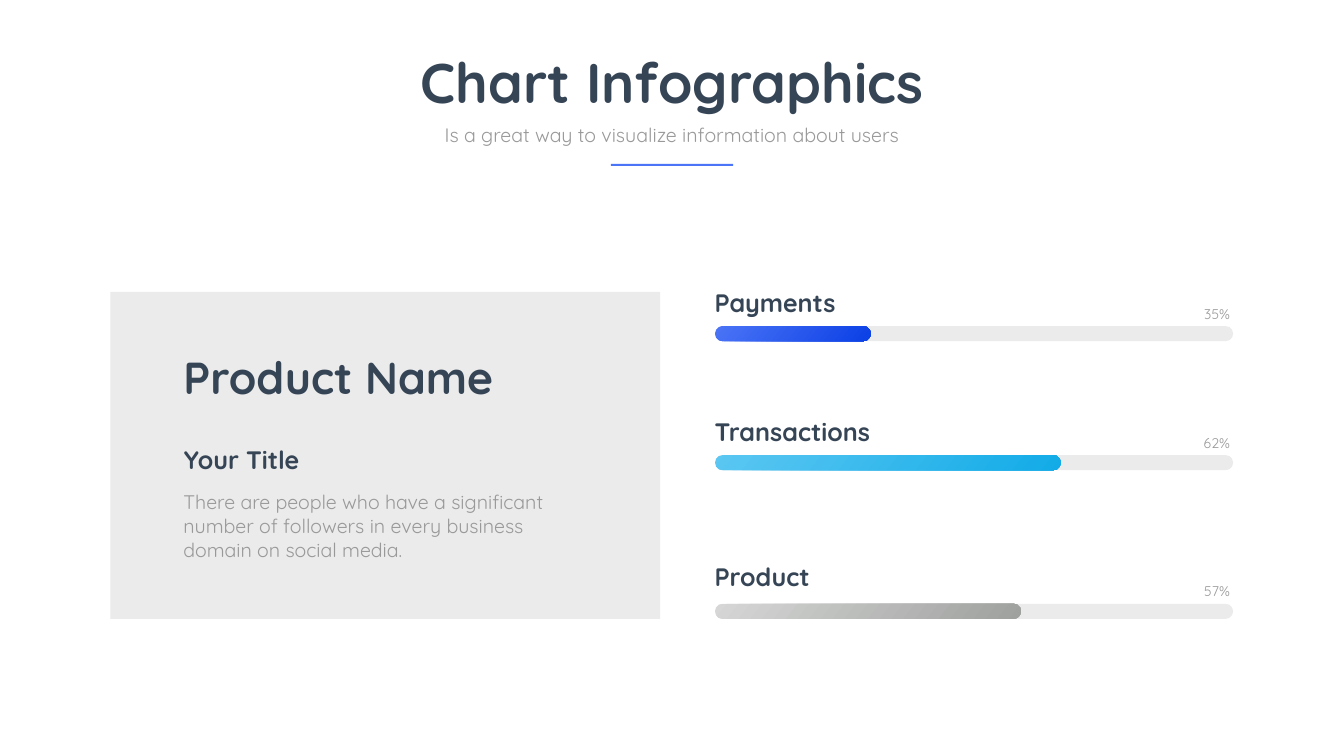
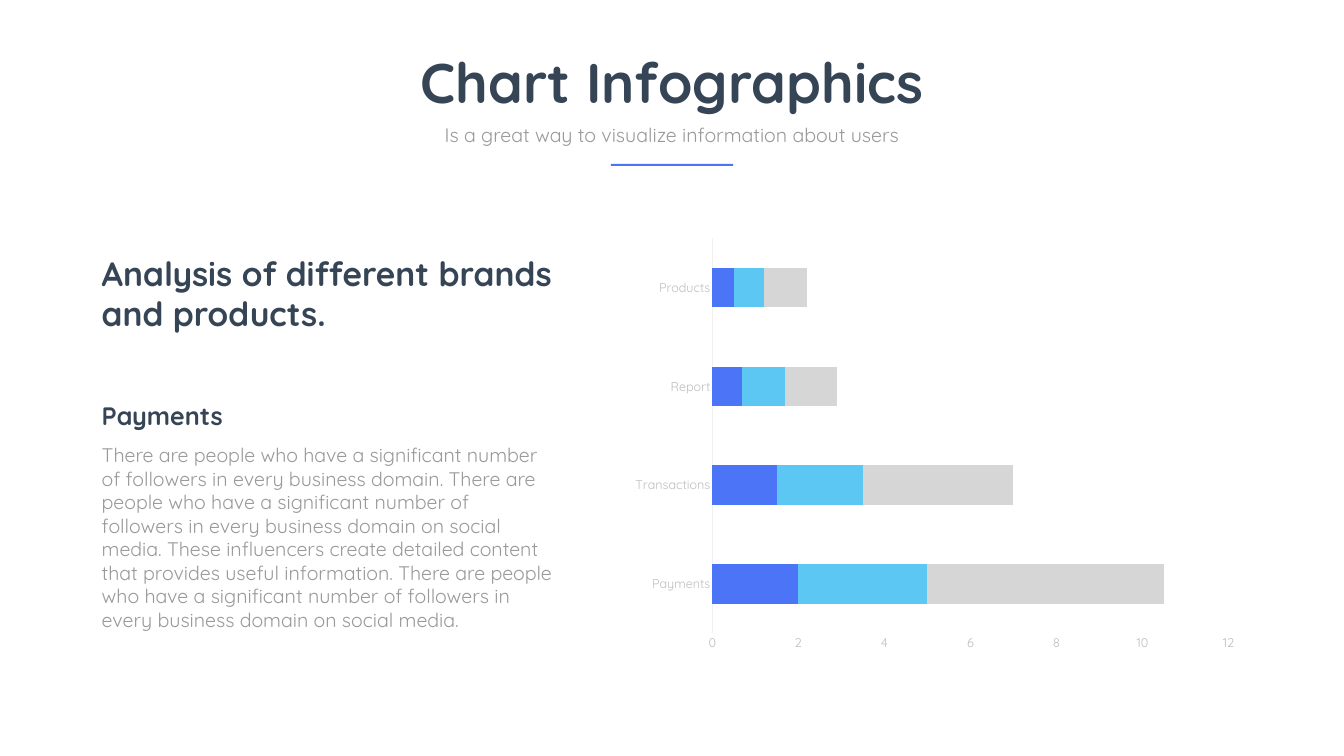
import pptx
import pptx.chart.data
import pptx.dml.color
import pptx.enum.chart
import pptx.enum.shapes
import pptx.enum.text
import pptx.util

Inches = pptx.util.Inches
RGBColor = pptx.dml.color.RGBColor
Align = pptx.enum.text.PP_ALIGN
Anchor = pptx.enum.text.MSO_ANCHOR
Preset = pptx.enum.shapes.MSO_SHAPE

FONT = "Quicksand"
NAVY = RGBColor(0x36, 0x45, 0x56)
GRAY = RGBColor(0x99, 0x99, 0x99)
PANEL = RGBColor(0xEB, 0xEB, 0xEB)
BLUE = RGBColor(0x4B, 0x74, 0xF6)
DEEP_BLUE = RGBColor(0x0B, 0x40, 0xE5)
SKY = RGBColor(0x5B, 0xC7, 0xF2)
DEEP_SKY = RGBColor(0x12, 0xAB, 0xE7)
SILVER = RGBColor(0xD5, 0xD6, 0xD5)
DEEP_SILVER = RGBColor(0x9F, 0xA1, 0x9F)
AXIS_TEXT = RGBColor(0xBD, 0xBD, 0xBD)
AXIS_LINE = RGBColor(0xF0, 0xF0, 0xF0)

DEFAULT_INSETS = (0.1, 0.05)
SMALL_INSETS = (0.06, 0.06)
HEADING = {"size": 36, "bold": True, "color": NAVY}
BODY = {"size": 28, "bold": False, "color": GRAY}
PERCENT = {"size": 20, "bold": False, "color": GRAY}


def set_attributes(target, values):
    """Set every named attribute on the target."""
    for name, value in values.items():
        setattr(target, name, value)


def set_font(font, size, color, bold=False):
    """Apply the deck's typeface in one size and colour."""
    set_attributes(font, {"name": FONT, "size": pptx.util.Pt(size), "bold": bold})
    font.color.rgb = color


def add_text(slide, box, text, style, align=Align.LEFT, anchor=Anchor.TOP,
             insets=DEFAULT_INSETS, spacing=None, grow=True):
    """Place one paragraph of text in a box of inches."""
    frame = slide.shapes.add_textbox(*map(Inches, box)).text_frame
    across, down = map(Inches, insets)
    fit = pptx.enum.text.MSO_AUTO_SIZE
    set_attributes(frame, {
        "word_wrap": True, "vertical_anchor": anchor,
        "auto_size": fit.SHAPE_TO_FIT_TEXT if grow else fit.NONE,
        "margin_left": across, "margin_right": across,
        "margin_top": down, "margin_bottom": down,
    })
    paragraph = frame.paragraphs[0]
    set_attributes(paragraph, {"alignment": align, "line_spacing": spacing})
    run = paragraph.add_run()
    run.text = text
    set_font(run.font, **style)


def add_block(slide, box, colors, preset=Preset.RECTANGLE):
    """Draw an outline-free shape, solid for one colour, shaded for two."""
    shape = slide.shapes.add_shape(preset, *map(Inches, box))
    shape.shadow.inherit = False
    shape.line.fill.background()
    if preset == Preset.ROUNDED_RECTANGLE:
        shape.adjustments[0] = 0.5
    if len(colors) == 1:
        shape.fill.solid()
        shape.fill.fore_color.rgb = colors[0]
    else:
        shape.fill.gradient()
        shape.fill.gradient_angle = 360 - 38
        for stop, color in zip(shape.fill.gradient_stops, colors):
            stop.color.rgb = color


def add_header(slide, left, top, width):
    """Add the centred title, subtitle and accent rule."""
    title = {"size": 80, "bold": True, "color": NAVY}
    add_text(slide, (left, top, width, 1.45), "Chart Infographics", title, Align.CENTER)
    add_text(slide, (left + 1.67, top + 1.48, 9.56, 0.57),
             "Is a great way to visualize information about users", BODY, Align.CENTER)
    add_block(slide, (left + (width - 2.43) / 2, top + 2.35, 2.43, 0.04), [BLUE])


def add_progress(slide, left, top, width, label, percent, filled, colors, spacing=None):
    """Add a labelled bar with its filled length and percentage."""
    for length, shades in ((width, [PANEL]), (filled, colors)):
        add_block(slide, (left, top + 0.83, length, 0.3), shades, Preset.ROUNDED_RECTANGLE)
    add_text(slide, (left - 0.07, top, 6.44, 0.7), label, HEADING,
             insets=SMALL_INSETS, spacing=spacing, grow=False)
    add_text(slide, (left + width - 1.23, top + 0.39, 1.23, 0.43), percent, PERCENT,
             Align.RIGHT, insets=SMALL_INSETS, spacing=0.9, grow=False)


def add_product_panel(slide, left, top, width, height):
    """Add the gray panel that presents the product."""
    add_block(slide, (left, top, width, height), [PANEL])
    add_text(slide, (left + 1.35, top + 3.89, 8.19, 1.51),
             "There are people who have a significant number of followers "
             "in every business domain on social media.", BODY)
    add_text(slide, (left + 1.39, top + 1.09, 6.91, 1.19), "Product Name",
             {"size": 64, "bold": True, "color": NAVY},
             anchor=Anchor.MIDDLE, insets=SMALL_INSETS)
    add_text(slide, (left + 1.36, top + 2.97, 6.3, 0.71), "Your Title", HEADING)


def add_analysis(slide, left, top, width):
    """Add the headline with the explanation below it."""
    add_text(slide, (left, top, width, 1.72), "Analysis of different brands and products.",
             {"size": 48, "bold": True, "color": NAVY})
    add_text(slide, (left, top + 2.94, 7.75, 0.71), "Payments", HEADING)
    add_text(slide, (left, top + 3.78, width, 4.34),
             "There are people who have a significant number of followers in every "
             "business domain. There are people who have a significant number of "
             "followers in every business domain on social media. These influencers "
             "create detailed content that provides useful information. There are "
             "people who have a significant number of followers in every business "
             "domain on social media.", BODY)


def add_stacked_chart(slide, left, top, width, height):
    """Add the stacked bar chart of the four categories."""
    data = pptx.chart.data.CategoryChartData()
    data.categories = ["Payments", "Transactions", "Report", "Products"]
    data.add_series("Series 1", (2, 1.5, 0.7, 0.5))
    data.add_series("Series 2", (3, 2, 1, 0.7))
    data.add_series("Series 3", (5.5, 3.5, 1.2, 1))
    box = map(Inches, (left, top, width, height))
    kind = pptx.enum.chart.XL_CHART_TYPE.BAR_STACKED
    chart = slide.shapes.add_chart(kind, *box, data).chart
    set_attributes(chart, {"has_legend": False, "has_title": False})
    set_font(chart.font, 18, GRAY)
    plot = chart.plots[0]
    set_attributes(plot, {"gap_width": 150, "overlap": 100, "vary_by_categories": False})
    for series, color in zip(plot.series, (BLUE, SKY, SILVER)):
        series.format.fill.solid()
        series.format.fill.fore_color.rgb = color
    no_tick = pptx.enum.chart.XL_TICK_MARK.NONE
    for axis in (chart.category_axis, chart.value_axis):
        set_attributes(axis, {"major_tick_mark": no_tick, "minor_tick_mark": no_tick,
                              "has_major_gridlines": False})
        set_font(axis.tick_labels.font, 18, AXIS_TEXT)
    line = chart.category_axis.format.line
    line.color.rgb = AXIS_LINE
    line.width = pptx.util.Pt(0.75)
    chart.value_axis.format.line.fill.background()
    set_attributes(chart.value_axis, {"minimum_scale": 0, "maximum_scale": 12, "major_unit": 2})


def add_slide(presentation):
    """Add a blank slide with the shared header."""
    slide = presentation.slides.add_slide(presentation.slide_layouts[6])
    add_header(slide, 6.88, 0.9, 12.91)
    return slide


def build_progress_slide(presentation):
    """Build the slide with the product panel and progress bars."""
    slide = add_slide(presentation)
    rows = (
        (5.64, "Payments", "35%", 3.09, (BLUE, DEEP_BLUE), None),
        (8.2, "Transactions", "62%", 6.86, (SKY, DEEP_SKY), None),
        (11.15, "Product", "57%", 6.07, (SILVER, DEEP_SILVER), 0.9),
    )
    for top, *row in rows:
        add_progress(slide, 14.19, top, 10.28, *row)
    add_product_panel(slide, 2.19, 5.79, 10.91, 6.49)


def build_chart_slide(presentation):
    """Build the slide with the analysis and stacked chart."""
    slide = add_slide(presentation)
    add_stacked_chart(slide, 12.36, 4.56, 12.38, 8.53)
    add_analysis(slide, 1.92, 4.96, 9.14)


presentation = pptx.Presentation()
set_attributes(presentation, {"slide_width": Inches(26.67), "slide_height": Inches(15)})
build_progress_slide(presentation)
build_chart_slide(presentation)
presentation.save("out.pptx")
